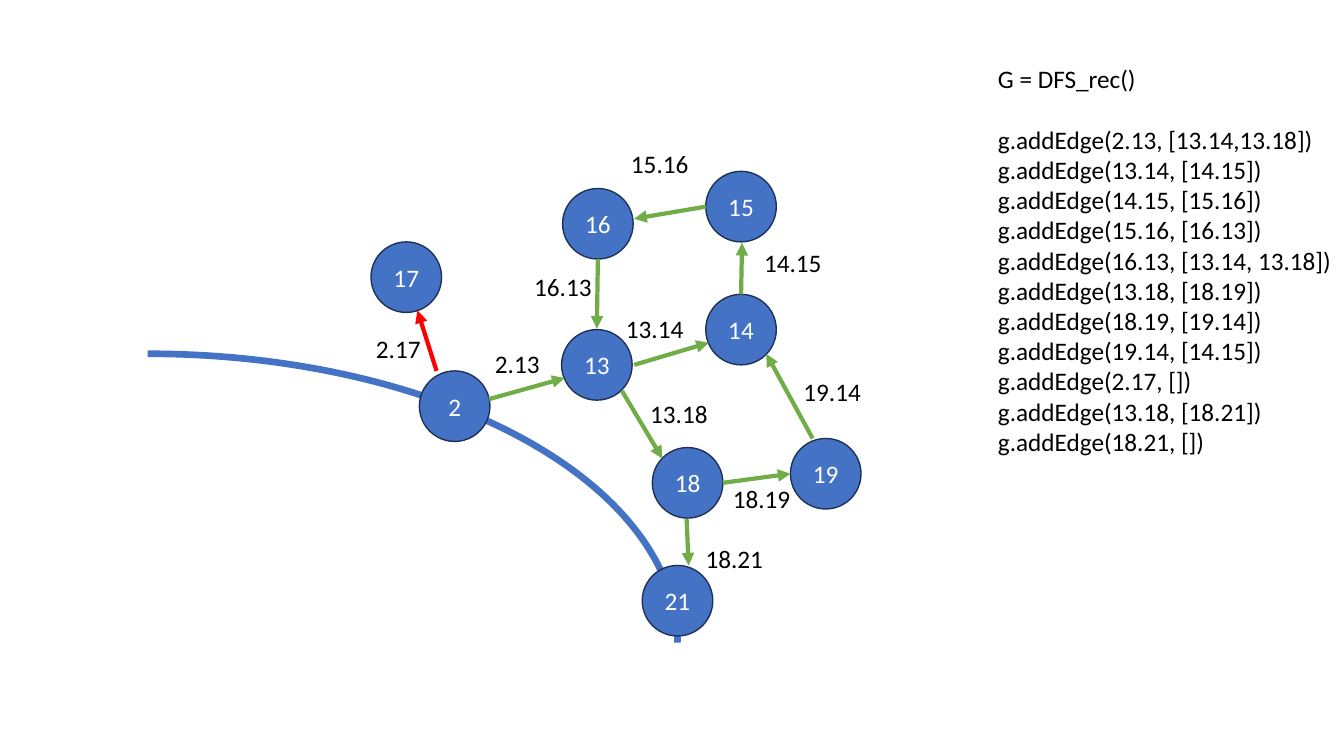
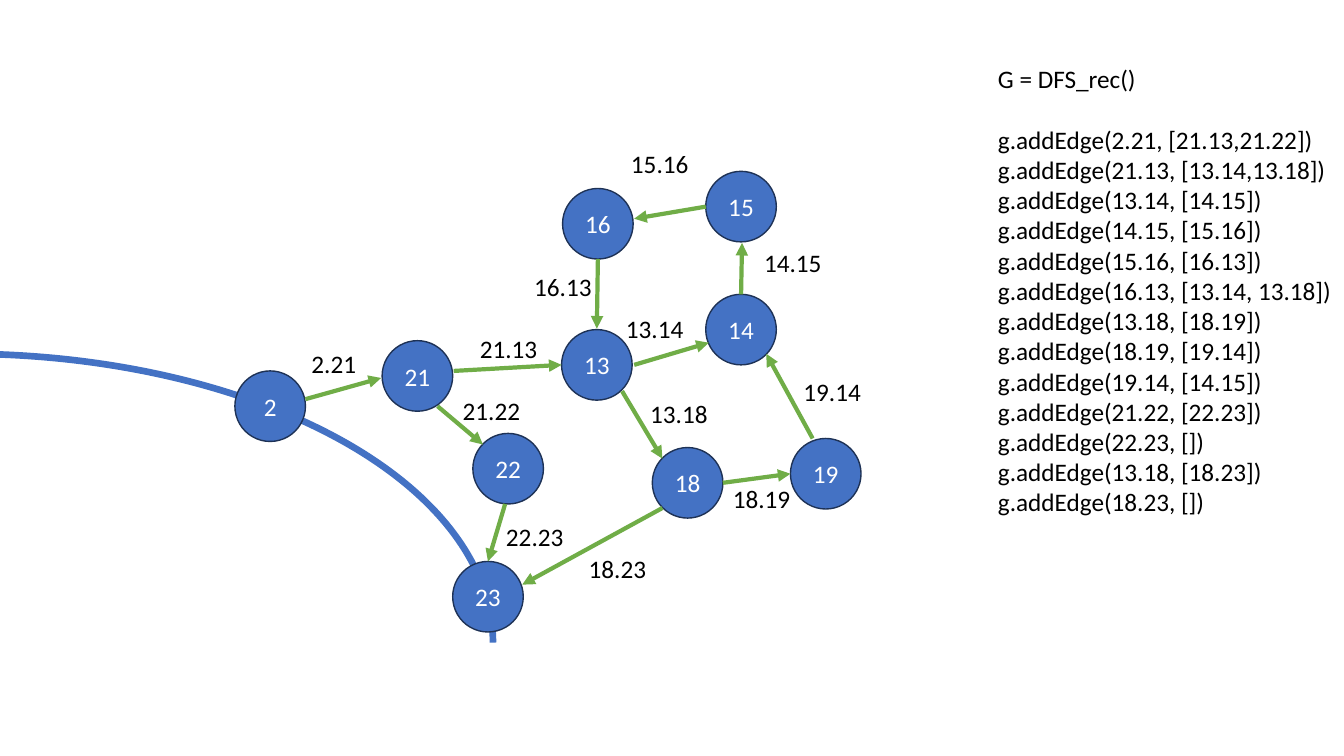
import dataclasses

import pptx
import pptx.dml.color
import pptx.enum.shapes
import pptx.enum.text
import pptx.oxml.ns
import pptx.util
from lxml import etree

SHAPE = pptx.enum.shapes.MSO_SHAPE
LINK = pptx.enum.shapes.MSO_CONNECTOR
ALIGN = pptx.enum.text.PP_ALIGN
ANCHOR = pptx.enum.text.MSO_ANCHOR
FIT = pptx.enum.text.MSO_AUTO_SIZE
PX = 9144


@dataclasses.dataclass(frozen=True)
class Theme:
    font: str = "Calibri"
    size: int = 18
    blue: str = "4472C4"
    navy: str = "1E3256"
    green: str = "70AD47"
    red: str = "FF0000"
    white: str = "FFFFFF"
    black: str = "000000"
    rim: float = 1
    stroke: float = 3
    curve: float = 4.75
    gap: float = 21.6


THEME = Theme()
NODE = 70
LABEL = {4: 65, 5: 78}
HIGH = 40

NODES = {
    "13": (557, 327), "14": (700, 292), "15": (700, 170),
    "16": (558, 187), "18": (647, 444), "19": (784, 435),
}
EDGES = {
    "13.14": (629, 362, 703, 340, 611, 306),
    "14.15": (735, 292, 736, 241, 748, 240),
    "15.16": (700, 205, 629, 217, 616, 142),
    "16.13": (593, 257, 592, 326, 520, 264),
    "13.18": (617, 388, 657, 455, 635, 390),
    "18.19": (717, 479, 784, 470, 717, 475),
    "19.14": (806, 435, 760, 351, 787, 368),
}
LOOP = [
    ("13.14", "14.15"), ("14.15", "15.16"), ("15.16", "16.13"),
    ("16.13", "13.14, 13.18"), ("13.18", "18.19"),
    ("18.19", "19.14"), ("19.14", "14.15"),
]

SLIDES = [
    {
        "arc": -379,
        "nodes": {"2": (416, 368), "17": (368, 240), "21": (637, 561)},
        "edges": {
            "2.13": (485, 396, 560, 375, 481, 341),
            "2.17": (433, 368, 414, 308, 363, 326),
            "18.21": (681, 515, 683, 561, 690, 534),
        },
        "red": {"2.17"},
        "calls": [("2.13", "13.14,13.18"), *LOOP, ("2.17", ""),
                  ("13.18", "18.21"), ("18.21", "")],
        "tall": 434,
    },
    {
        "arc": -562,
        "nodes": {"2": (233, 368), "21": (379, 338),
                  "22": (469, 430), "23": (449, 557)},
        "edges": {
            "2.21": (303, 396, 378, 375, 299, 341),
            "21.13": (450, 368, 557, 362, 466, 326),
            "21.22": (434, 403, 479, 441, 449, 387),
            "22.23": (501, 500, 484, 557, 492, 512),
            "18.23": (657, 504, 518, 580, 574, 544),
        },
        "red": set(),
        "calls": [("2.21", "21.13,21.22"), ("21.13", "13.14,13.18"), *LOOP,
                  ("21.22", "22.23"), ("22.23", ""),
                  ("13.18", "18.23"), ("18.23", "")],
        "tall": 495,
    },
]


def emu(*vals):
    return [pptx.util.Emu(val * PX) for val in vals]


def rgb(code):
    return pptx.dml.color.RGBColor.from_string(code)


def put(item, form):
    for key, val in form.items():
        setattr(item, key, val)


def ink(line, tone, width):
    line.color.rgb = rgb(tone)
    line.width = pptx.util.Pt(width)


def write(para, text, tone):
    run = para.add_run()
    run.text = text
    put(run.font, {"name": THEME.font, "size": pptx.util.Pt(THEME.size)})
    run.font.color.rgb = rgb(tone)


def add_arc(slide, left):
    arc = slide.shapes.add_shape(SHAPE.ARC, *emu(left, 351, 1051, 573))
    arc.shadow.inherit = False
    arc.fill.background()
    ink(arc.line, THEME.blue, THEME.curve)


def add_node(slide, name, spot):
    node = slide.shapes.add_shape(SHAPE.OVAL, *emu(*spot, NODE, NODE))
    node.shadow.inherit = False
    node.fill.solid()
    node.fill.fore_color.rgb = rgb(THEME.blue)
    ink(node.line, THEME.navy, THEME.rim)
    node.text_frame.vertical_anchor = ANCHOR.MIDDLE
    para = node.text_frame.paragraphs[0]
    para.alignment = ALIGN.CENTER
    write(para, name, THEME.white)


def add_arrow(slide, ends, tone):
    arrow = slide.shapes.add_connector(LINK.STRAIGHT, *emu(*ends))
    ink(arrow.line, tone, THEME.stroke)
    qn = pptx.oxml.ns.qn
    props = arrow.element.spPr
    etree.SubElement(props.find(qn("a:ln")), qn("a:tailEnd"), type="triangle")
    etree.SubElement(props, qn("a:effectLst"))


def add_text(slide, lines, area):
    frame = slide.shapes.add_textbox(*emu(*area)).text_frame
    put(frame, {"word_wrap": False, "auto_size": FIT.SHAPE_TO_FIT_TEXT})
    for row, line in enumerate(lines):
        para = frame.add_paragraph() if row else frame.paragraphs[0]
        write(para, line, THEME.black)
    return frame


def add_code(slide, calls, tall):
    lines = ["G = DFS_rec()"]
    lines += [f"g.addEdge({edge}, [{nexts}])" for edge, nexts in calls]
    frame = add_text(slide, lines, (980, 58, 354, tall))
    frame.paragraphs[1].space_before = pptx.util.Pt(THEME.gap)


def add_graph(slide, plan):
    add_arc(slide, plan["arc"])
    for name, spot in (NODES | plan["nodes"]).items():
        add_node(slide, name, spot)
    for name, (*ends, left, top) in (EDGES | plan["edges"]).items():
        tone = THEME.red if name in plan["red"] else THEME.green
        add_arrow(slide, ends, tone)
        add_text(slide, [name], (left, top, LABEL[len(name)], HIGH))
    add_code(slide, plan["calls"], plan["tall"])


def main():
    deck = pptx.Presentation()
    wide, high = emu(1333, 750)
    put(deck, {"slide_width": wide, "slide_height": high})
    for plan in SLIDES:
        add_graph(deck.slides.add_slide(deck.slide_layouts[6]), plan)
    deck.save("out.pptx")


if __name__ == "__main__":
    main()
